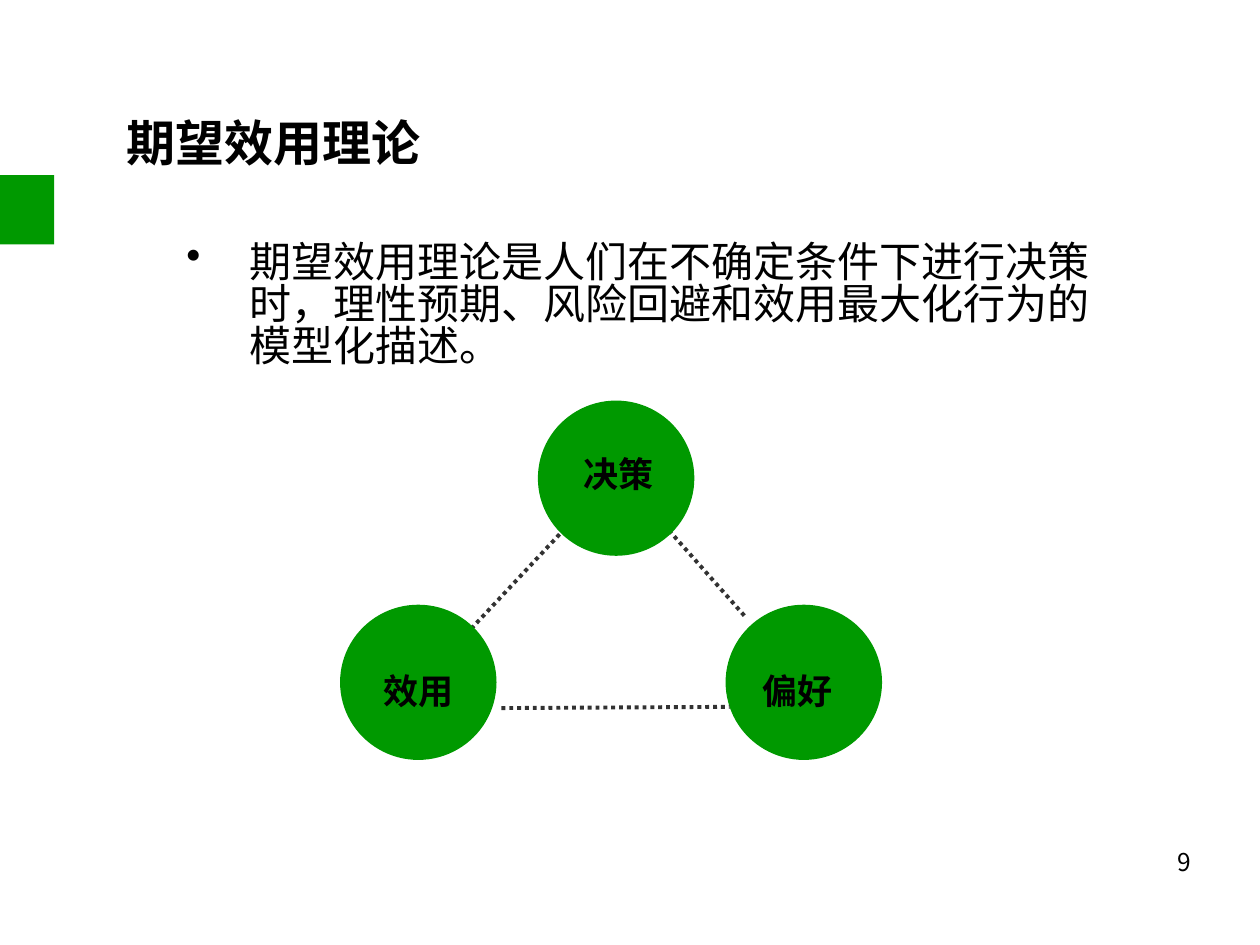
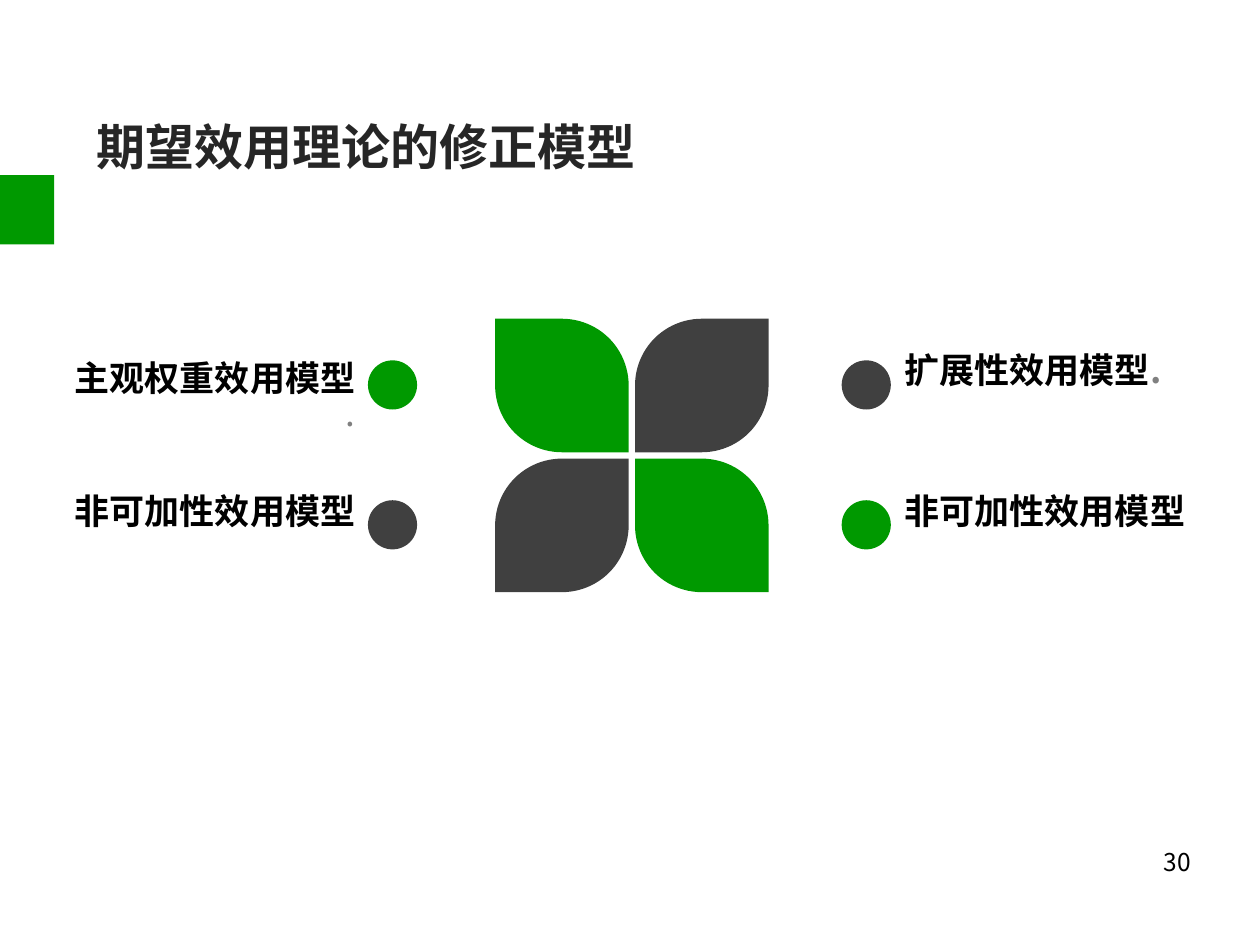
import pptx
import pptx.util
import pptx.dml.color
import pptx.enum.dml
import pptx.enum.shapes
import pptx.enum.text
from lxml import etree

Inches = pptx.util.Inches
Color = pptx.dml.color.RGBColor
Kind = pptx.enum.shapes.MSO_SHAPE
Align = pptx.enum.text.PP_ALIGN

GREEN = Color(0x00, 0x99, 0x00)
DARK = Color(0x40, 0x40, 0x40)
LINE = Color(0x32, 0x32, 0x32)
INK = Color(0x26, 0x26, 0x26)
GREY = Color(0x80, 0x80, 0x80)
BLACK = Color(0x00, 0x00, 0x00)
FONT = "Noto Sans CJK SC"
BOLD = {"size": 20, "bold": True}

# Slide 1: title, body, then a triangle of linked ideas
THEORY = ("期望效用理论是人们在不确定条件下进行决策时，"
          "理性预期、风险回避和效用最大化行为的模型化描述。")
DISC = (1.2, 1.19)
IDEAS = [  # word, disc corner, label corner
    ("决策", (4.29, 3.2), (4.31, 3.42)),
    ("效用", (2.72, 4.82), (2.72, 5.14)),
    ("偏好", (5.78, 4.82), (5.73, 5.14)),
]
SIDES = [(3.74, 4.99, 4.47, 4.21), (5.31, 4.21, 5.92, 4.9)]
BASE = (3.98, 5.62, 5.79, 5.61)

# Slide 2: four models around a flower; a label is a list of
# paragraphs, a paragraph a list of (text, format) runs
DOT = (".", {"size": 20, "color": GREY})
SOFT = (".", {"size": 20, "color": GREY, "bold": True})
MODELS = [  # column, row, label box, paragraphs
    (0, 0, (0.38, 2.89, 2.44, 0.67), [[("主观权重效用模型", BOLD)], [DOT]]),
    (1, 0, (7.18, 2.82, 2.05, 0.34), [[("扩展性效用模型", BOLD), SOFT]]),
    (0, 1, (0.38, 3.94, 2.44, 0.34), [[("非可加性效用模型", BOLD)]]),
    (1, 1, (7.18, 3.94, 2.41, 0.34), [[("非可加性效用模型", BOLD)]]),
]
PETAL, STEP = 1.06, 1.11
FLOWER = (3.93, 2.53)
SPOT = 0.39
SPOTS = (2.92, 6.68)
ROW = 2.86


def write(slide, box, paras, align=Align.LEFT, gap=1.0, pad=(0.1, 0.05)):
    """Add a text box; pad holds the side and the top inset."""
    frame = slide.shapes.add_textbox(*map(Inches, box)).text_frame
    look = {"word_wrap": True, "margin_left": Inches(pad[0]),
            "margin_right": Inches(pad[0]), "margin_top": Inches(pad[1]),
            "margin_bottom": 0}
    for key, value in look.items():
        setattr(frame, key, value)
    for i, runs in enumerate(paras):
        para = frame.add_paragraph() if i else frame.paragraphs[0]
        para.alignment, para.line_spacing = align, gap
        for text, style in runs:
            run = para.add_run()
            run.text = text
            style = {"color": BLACK, "bold": False, "name": FONT, **style}
            run.font.color.rgb = style.pop("color")
            style["size"] = pptx.util.Pt(style["size"])
            for key, value in style.items():
                setattr(run.font, key, value)
            east = etree.SubElement(run._r.rPr, pptx.oxml.ns.qn("a:ea"))
            east.set("typeface", FONT)
    return frame


def bullet(para, indent):
    """Give a paragraph a hanging round bullet."""
    props = para._p.get_or_add_pPr()
    props.set("marL", str(Inches(indent)))
    props.set("indent", str(-Inches(indent)))
    mark = etree.SubElement(props, pptx.oxml.ns.qn("a:buChar"))
    mark.set("char", "•")


def draw(slide, kind, box, fill, edge=0):
    shape = slide.shapes.add_shape(kind, *map(Inches, box))
    shape.shadow.inherit = False
    shape.fill.solid()
    shape.fill.fore_color.rgb = fill
    if edge:
        shape.line.color.rgb = fill
        shape.line.width = pptx.util.Pt(edge)
    else:
        shape.line.fill.background()
    return shape


def link(slide, ends):
    """Join two points with a dotted line."""
    line = slide.shapes.add_connector(
        pptx.enum.shapes.MSO_CONNECTOR.STRAIGHT, *map(Inches, ends))
    line.line.color.rgb = LINE
    line.line.width = pptx.util.Pt(2.25)
    line.line.dash_style = pptx.enum.dml.MSO_LINE.ROUND_DOT
    etree.SubElement(line._element.spPr, pptx.oxml.ns.qn("a:effectLst"))


def start(deck, title, left, top, color, page):
    """Add a slide with its title, green tab and page number."""
    slide = deck.slides.add_slide(deck.slide_layouts[6])
    write(slide, (7.22, 6.67, 2.33, 0.4), [[(page, {"size": 14})]],
          Align.RIGHT)
    style = {"size": 28, "bold": True, "color": color}
    write(slide, (left, top, 9, 1.25), [[(title, style)]], gap=0.9)
    draw(slide, Kind.RECTANGLE, (0, 1.39, 0.43, 0.55), GREEN)
    return slide


def theory(deck):
    slide = start(deck, "期望效用理论", 0.91, 0.9, BLACK, "9")
    body = write(slide, (1.38, 1.89, 7.65, 4.95),
                 [[(THEORY, {"size": 24})]], gap=0.83)
    bullet(body.paragraphs[0], 0.5)
    for ends in SIDES:
        link(slide, ends)
    for word, disc, spot in IDEAS:
        draw(slide, Kind.OVAL, disc + DISC, GREEN, 3)
        write(slide, spot + (1.2, 0.6), [[(word, BOLD)]],
              Align.CENTER, pad=(0.1, 0.17))
    link(slide, BASE)


def models(deck):
    slide = start(deck, "期望效用理论的修正模型", 0.67, 0.93, INK, "30")
    for col, row, box, paras in MODELS:
        same = col == row
        fill = GREEN if same else DARK
        left, top = FLOWER[0] + col * STEP, FLOWER[1] + row * STEP
        petal = draw(slide, Kind.ROUND_2_DIAG_RECTANGLE,
                     (left, top, PETAL, PETAL), fill)
        petal.adjustments[0] = 0 if same else 0.5
        petal.adjustments[1] = 0.5 if same else 0
        draw(slide, Kind.OVAL,
             (SPOTS[col], ROW + row * STEP, SPOT, SPOT), fill)
        write(slide, box, paras, Align.LEFT if col else Align.RIGHT,
              0.83, (0, 0))


def main():
    deck = pptx.Presentation()
    deck.slide_width, deck.slide_height = Inches(10), Inches(7.5)
    theory(deck)
    models(deck)
    deck.save("out.pptx")


if __name__ == "__main__":
    main()
